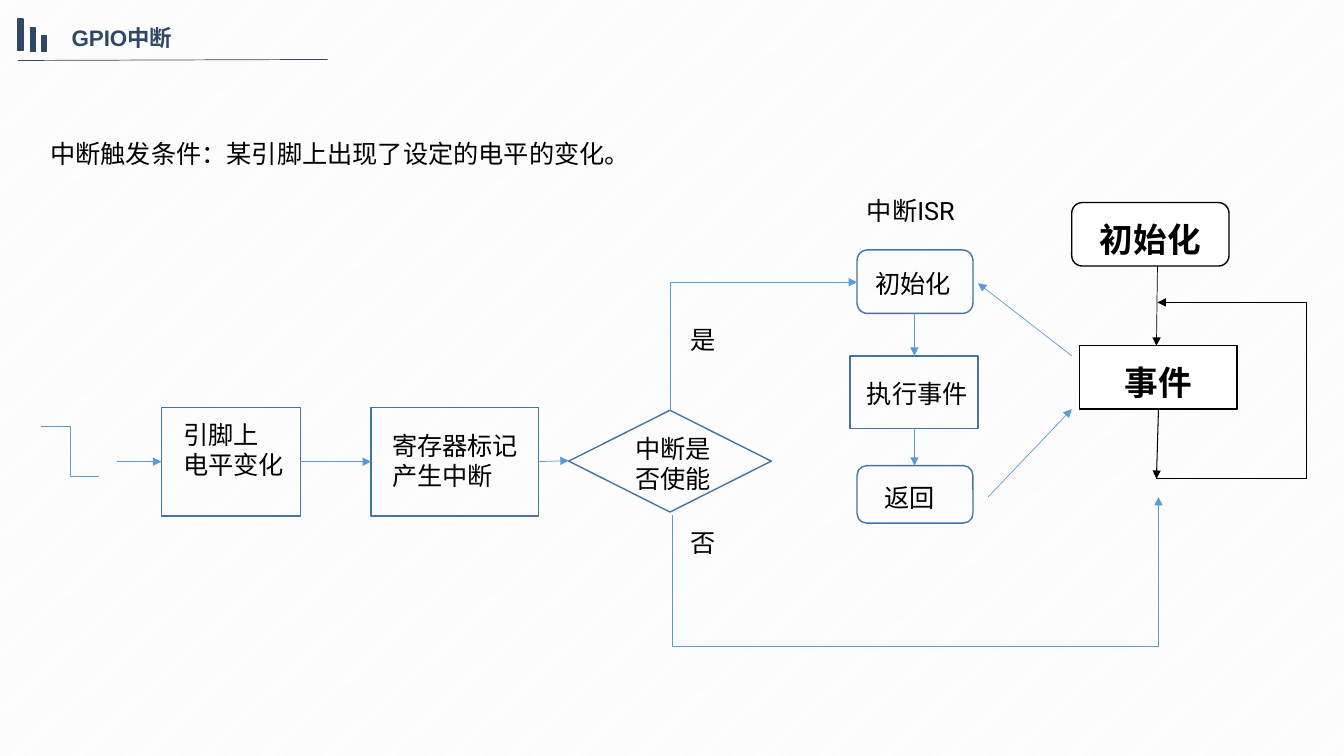
import pptx
import pptx.util
import pptx.dml.color
import pptx.enum.dml
import pptx.enum.shapes
import pptx.enum.text
import pptx.oxml
import pptx.oxml.ns

PX = 9144
COLORS = {
    "navy": "314865", "black": "000000", "white": "FFFFFF",
    "outline": "43739E", "blue": "5B9BD5", "stripe": "F2F2F2",
}
RGB = {name: pptx.dml.color.RGBColor.from_string(c) for name, c in COLORS.items()}
SHAPE = pptx.enum.shapes.MSO_SHAPE
CONNECTOR = pptx.enum.shapes.MSO_CONNECTOR
ALIGN = pptx.enum.text.PP_ALIGN
ANCHOR = pptx.enum.text.MSO_ANCHOR
Pt = pptx.util.Pt

prs = pptx.Presentation()
prs.slide_width, prs.slide_height = 1333 * PX, 750 * PX
s = prs.slides.add_slide(prs.slide_layouts[5])
bg = s.background.fill
bg.patterned()
bg.pattern = pptx.enum.dml.MSO_PATTERN.DARK_UPWARD_DIAGONAL
bg.fore_color.rgb, bg.back_color.rgb = RGB["stripe"], RGB["white"]


def add_box(kind, box, fill, line):
    sp = s.shapes.add_shape(kind, *[v * PX for v in box])
    sp.shadow.inherit = False
    if fill:
        sp.fill.solid()
        sp.fill.fore_color.rgb = RGB[fill]
    else:
        sp.fill.background()
    sp.line.color.rgb = RGB[line]
    sp.line.width = Pt(1)
    return sp


def add_link(kind, ends, color, width=0.5, arrow=False):
    cx = s.shapes.add_connector(kind, *[v * PX for v in ends])
    cx.line.color.rgb = RGB[color]
    cx.line.width = Pt(width)
    if arrow:
        tail = pptx.oxml.parse_xml(
            f'<a:tailEnd {pptx.oxml.ns.nsdecls("a")} type="triangle"/>')
        cx.line._get_or_add_ln().append(tail)
    cx._element.spPr.append(
        pptx.oxml.parse_xml(f'<a:effectLst {pptx.oxml.ns.nsdecls("a")}/>'))
    return cx


title = s.shapes.title
title.left, title.top, title.width, title.height = [v * PX for v in (61, 19, 264, 37)]
tf = title.text_frame
tf.text = "GPIO中断"
tf.word_wrap = True
tf.vertical_anchor = ANCHOR.TOP
p = tf.paragraphs[0]
p.alignment = ALIGN.JUSTIFY
font = p.runs[0].font
font.name, font.size, font.bold = "Arial", Pt(16), True
font.color.rgb = RGB["navy"]

add_link(CONNECTOR.STRAIGHT, (18, 60, 325, 59), "navy")
for left, top, height in [(18, 19, 31), (30, 28, 23), (41, 35, 16)]:
    add_box(SHAPE.RECTANGLE, (left, top, 5, height), "navy", "navy")

main_steps = [
    (SHAPE.ROUNDED_RECTANGLE, (1063, 201, 156, 63), "初始化"),
    (SHAPE.RECTANGLE, (1071, 343, 156, 63), "事件"),
]
for kind, box, text in main_steps:
    tf = add_box(kind, box, "white", "black").text_frame
    tf.text = text
    tf.word_wrap = True
    tf.vertical_anchor = ANCHOR.MIDDLE
    tf.margin_top = tf.margin_bottom = 0
    p = tf.paragraphs[0]
    p.alignment = ALIGN.CENTER
    p.line_spacing = 1.25
    font = p.runs[0].font
    font.name, font.size, font.bold = "Roboto", Pt(24), True
    font.color.rgb = RGB["black"]

outlines = [
    (SHAPE.ROUNDED_RECTANGLE, (850, 248, 115, 63)),
    (SHAPE.RECTANGLE, (843, 353, 127, 72)),
    (SHAPE.ROUNDED_RECTANGLE, (850, 462, 115, 57)),
    (SHAPE.RECTANGLE, (160, 404, 138, 108)),
    (SHAPE.RECTANGLE, (368, 404, 166, 108)),
    (SHAPE.FLOWCHART_DECISION, (564, 407, 201, 101)),
]
for kind, box in outlines:
    add_box(kind, box, None, "outline")

main_links = [
    ((1148, 264, 1147, 343), 0.5, True),
    ((1149, 406, 1147, 475), 0.75, True),
    ((1147, 475, 1296, 475), 0.5, False),
    ((1296, 475, 1296, 300), 0.5, False),
    ((1296, 300, 1148, 300), 0.5, True),
]
for ends, width, arrow in main_links:
    add_link(CONNECTOR.STRAIGHT, ends, "black", width, arrow)

interrupt_links = [
    (1063, 353, 970, 281), (980, 493, 1063, 406),
    (907, 311, 907, 353), (907, 425, 907, 462),
    (116, 458, 160, 458), (298, 458, 368, 458),
    (534, 458, 564, 457), (1149, 641, 1149, 493),
]
for ends in interrupt_links:
    add_link(CONNECTOR.STRAIGHT, ends, "blue", arrow=True)

add_link(CONNECTOR.ELBOW, (41, 423, 98, 473), "blue")
branches = [((821, 436, 694, 251), 90, True), ((973, 335, 843, 817), 270, False)]
for ends, angle, arrow in branches:
    spPr = add_link(CONNECTOR.ELBOW, ends, "blue", arrow=arrow)._element.spPr
    spPr.find(pptx.oxml.ns.qn("a:prstGeom")).set("prst", "bentConnector2")
    spPr.find(pptx.oxml.ns.qn("a:xfrm")).set("rot", str(angle * 60000))

labels = [
    ((40, 102, 585, 71), "中断触发条件：某引脚上出现了设定的电平的变化。", 2),
    ((850, 189, 118, 40), "中断ISR", 1),
    ((858, 261, 98, 40), "初始化", 1),
    ((850, 370, 122, 40), "执行事件", 1),
    ((867, 474, 77, 40), "返回", 1),
    ((172, 411, 122, 71), "引脚上\n电平变化", 1),
    ((379, 422, 146, 71), "寄存器标记产生中断", 1),
    ((620, 425, 110, 71), "中断是否使能", 1),
    ((675, 317, 82, 40), "是", 1),
    ((675, 518, 75, 40), "否", 1),
]
for box, text, spacing in labels:
    tf = s.shapes.add_textbox(*[v * PX for v in box]).text_frame
    tf.text = text
    tf.word_wrap = True
    for p in tf.paragraphs:
        p.line_spacing = spacing
        font = p.runs[0].font
        font.name, font.size = "Roboto", Pt(18)
        font.color.rgb = RGB["black"]

prs.save("out.pptx")
